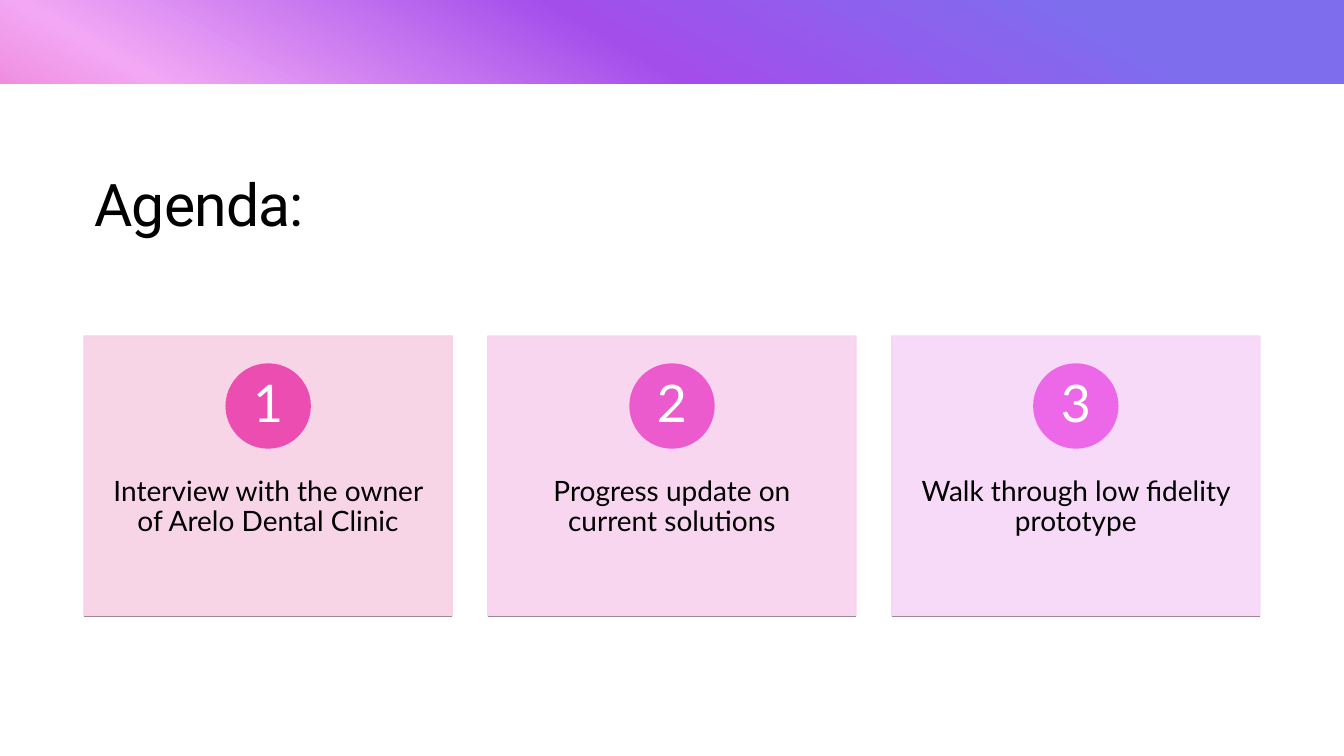
"""Build an agenda slide with a gradient band and three numbered cards."""
from dataclasses import dataclass

from lxml.etree import SubElement
from pptx import Presentation
from pptx.dml.color import RGBColor
from pptx.enum.shapes import MSO_CONNECTOR as Connector, MSO_SHAPE as Shape
from pptx.enum.text import MSO_ANCHOR as Anchor, MSO_AUTO_SIZE as AutoSize, PP_ALIGN as Align
from pptx.oxml.ns import qn
from pptx.util import Inches, Pt

UNIT = 7.5 / 27
COLUMNS, ROWS = 48, 27
MARGIN, GAP = 3, 1.27
CARD_TOP, CARD_HEIGHT, DISC = 12, 10, 3


@dataclass(frozen=True)
class Theme:
    heading: str = "Roboto"
    body: str = "Lato"
    title_size: float = 42
    number_size: float = 37
    text_size: float = 20
    ink: str = "000000"
    paper: str = "FFFFFF"
    rule: str = "9A8A95"
    card_opacity: int = 90
    gradient: tuple = ((10, "7E6EEE"), (30, "A34EEB"), (50, "F2A8F5"),
                       (70, "EB4EB0"), (90, "EE6E88"))


THEME = Theme()
AGENDA = (
    ("Interview with the owner of Arelo Dental Clinic", "F7D0E4", "EB4EB0"),
    ("Progress update on current solutions", "F8D2EF", "EC5BCE"),
    ("Walk through low fidelity prototype", "F7D5F8", "ED68E8"),
)


def grid(*cells):
    return [Inches(cell * UNIT) for cell in cells]


def add_box(slide, kind, cells, color, outlined=False):
    shape = slide.shapes.add_shape(kind, *grid(*cells))
    shape.shadow.inherit = False
    shape.fill.solid()
    shape.fill.fore_color.rgb = RGBColor.from_string(color)
    if outlined:
        shape.line.color.rgb = RGBColor.from_string(color)
        shape.line.width = Pt(1)
    else:
        shape.line.fill.background()
    return shape


def set_opacity(shape, percent):
    for color in shape.element.spPr.iter(qn("a:srgbClr")):
        SubElement(color, qn("a:alpha"), val=str(percent * 1000))


def set_gradient(shape, stops, angle):
    shape.fill.gradient()
    shape.fill.gradient_angle = angle
    stop_list = next(shape.element.spPr.iter(qn("a:gsLst")))
    for stop in list(stop_list):
        stop_list.remove(stop)
    for position, color in stops:
        stop = SubElement(stop_list, qn("a:gs"), pos=str(position * 1000))
        SubElement(stop, qn("a:srgbClr"), val=color)


def write(shape, text, font, size, color, align=Align.CENTER, spacing=0.9,
          anchor=Anchor.TOP, insets=(0.1, 0.05)):
    frame = shape.text_frame
    frame.word_wrap = True
    frame.auto_size = AutoSize.NONE
    frame.vertical_anchor = anchor
    frame.margin_left = frame.margin_right = Inches(insets[0])
    frame.margin_top = frame.margin_bottom = Inches(insets[1])
    paragraph = frame.paragraphs[0]
    paragraph.text = text
    paragraph.alignment = align
    paragraph.line_spacing = spacing
    paragraph.font.name = font
    paragraph.font.size = Pt(size)
    paragraph.font.color.rgb = RGBColor.from_string(color)


def add_backdrop(slide):
    gradient = add_box(slide, Shape.RECTANGLE, (0, 0, COLUMNS, ROWS), THEME.paper)
    set_gradient(gradient, THEME.gradient, 240)
    panel = add_box(slide, Shape.RECTANGLE, (0, 3, COLUMNS, ROWS - 3), THEME.paper)
    for shape in (gradient, panel):
        slide.shapes.title.element.addprevious(shape.element)


def add_title(slide, text):
    title = slide.shapes.title
    title.left, title.top, title.width, title.height = grid(MARGIN, 6, COLUMNS - 2 * MARGIN, 5.3)
    write(title, text, THEME.heading, THEME.title_size, THEME.ink, Align.LEFT, 0.95)
    next(title.element.iter(qn("a:defRPr"))).set("spc", "-50")


def add_rule(slide, left, top, width):
    rule = slide.shapes.add_connector(Connector.STRAIGHT, *grid(left, top, left + width, top))
    rule.line.color.rgb = RGBColor.from_string(THEME.rule)
    rule.line.width = Pt(0.5)
    SubElement(rule.element.spPr, qn("a:effectLst"))


def add_card(slide, left, width, number, text, tint, accent):
    card = add_box(slide, Shape.RECTANGLE, (left, CARD_TOP, width, CARD_HEIGHT), tint, True)
    set_opacity(card, THEME.card_opacity)
    label = slide.shapes.add_textbox(*grid(left, CARD_TOP + 3.75, width, 6))
    write(label, text, THEME.body, THEME.text_size, THEME.ink, insets=(0.28, 0.36))
    disc_left = left + (width - DISC) / 2
    disc = add_box(slide, Shape.OVAL, (disc_left, CARD_TOP + 1, DISC, DISC), accent, True)
    write(disc, str(number), THEME.body, THEME.number_size, THEME.paper,
          anchor=Anchor.MIDDLE, insets=(0.06, 0.01))
    add_rule(slide, left, CARD_TOP + CARD_HEIGHT, width)


def main():
    presentation = Presentation()
    presentation.slide_width, presentation.slide_height = grid(COLUMNS, ROWS)
    slide = presentation.slides.add_slide(presentation.slide_layouts[5])
    add_backdrop(slide)
    add_title(slide, "Agenda:")
    width = (COLUMNS - 2 * MARGIN - GAP * (len(AGENDA) - 1)) / len(AGENDA)
    for index, (text, tint, accent) in enumerate(AGENDA):
        add_card(slide, MARGIN + index * (width + GAP), width, index + 1, text, tint, accent)
    presentation.save("out.pptx")


if __name__ == "__main__":
    main()
